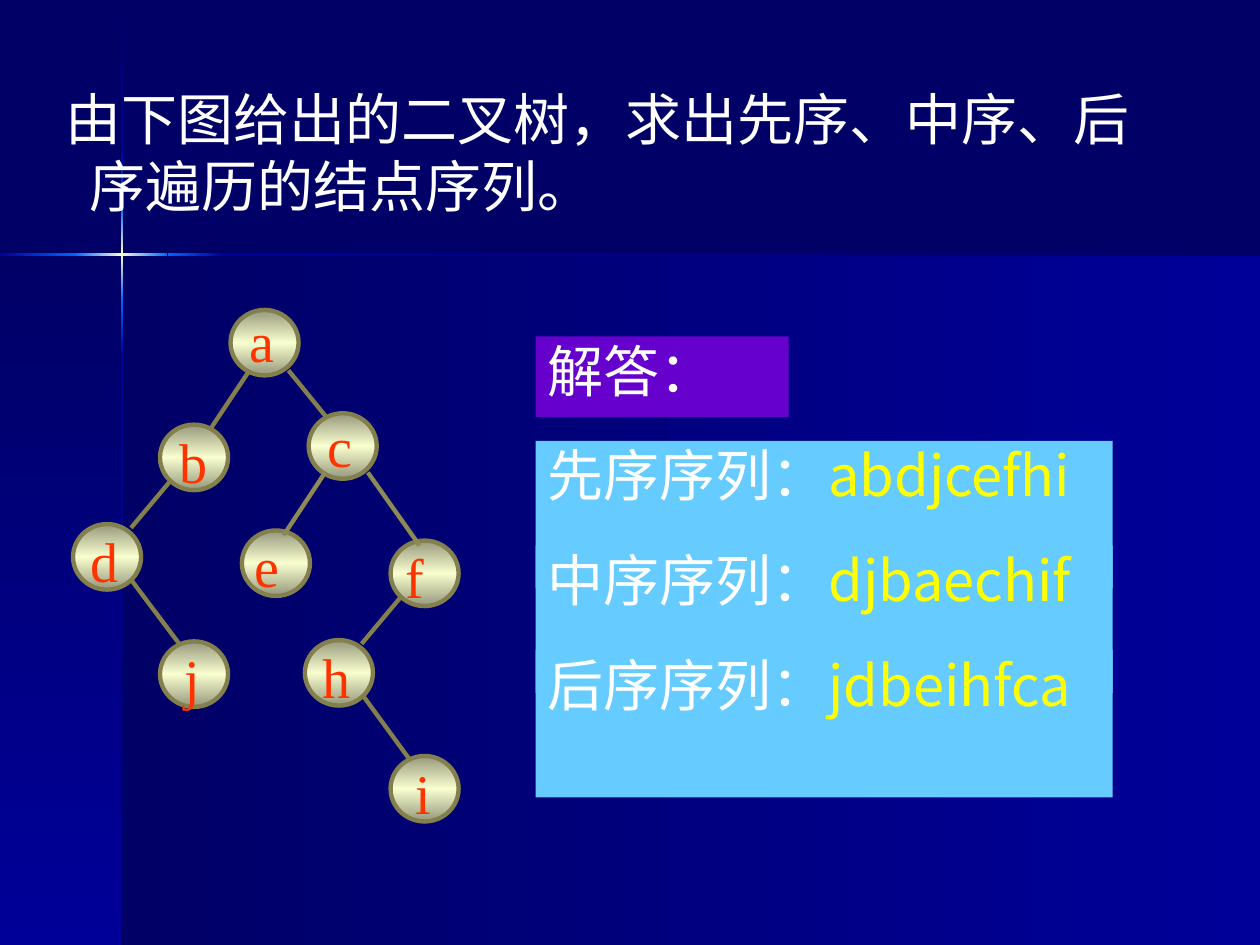
from lxml import etree
from pptx import Presentation
from pptx.dml.color import RGBColor
from pptx.enum.shapes import MSO_CONNECTOR, MSO_SHAPE
from pptx.enum.text import MSO_ANCHOR, MSO_AUTO_SIZE, PP_ALIGN
from pptx.oxml.ns import qn
from pptx.util import Inches, Pt

RECTANGLE, OVAL = MSO_SHAPE.RECTANGLE, MSO_SHAPE.OVAL
STRAIGHT = MSO_CONNECTOR.STRAIGHT
LEFT, TOP, NO_AUTOFIT = PP_ALIGN.LEFT, MSO_ANCHOR.TOP, MSO_AUTO_SIZE.NONE
SANS, SERIF = "Noto Sans CJK SC", "Times New Roman"
DARK, NAVY, BLUE, GLOW = "000066", "000099", "0066FF", "FFFFCC"
WHITE, YELLOW, RED = "FFFFFF", "FFFF00", "FF3300"
PURPLE, SKY, OLIVE, KHAKI = "6600CC", "66CCFF", "83804D", "8D8A53"
NODE_STOPS = ("95987C", "F8FECE", "95987C")
ACROSS, DOWN = 0, 90

BACKDROP = [
    (0.97, 2.02, 9.03, 5.48, (DARK, NAVY), ACROSS),
    (0, 2.02, 0.97, 5.48, (DARK, NAVY), DOWN),
    (0.96, 0.01, 0.02, 1.2, (DARK, NAVY), DOWN),
    (0.96, 2.82, 0.02, 4.68, (NAVY, DARK), DOWN),
    (1.77, 2.01, 8.23, 0.02, (NAVY, DARK), ACROSS),
    (0.96, 2.38, 0.02, 0.44, (BLUE, NAVY), DOWN),
    (0.96, 1.21, 0.02, 0.44, (NAVY, BLUE), DOWN),
    (0.96, 1.65, 0.02, 0.73, (BLUE, GLOW, BLUE), DOWN),
    (0, 2.01, 0.61, 0.02, (NAVY, BLUE), ACROSS),
    (1.33, 2.01, 0.44, 0.02, (BLUE, NAVY), ACROSS),
    (0.6, 2.01, 0.73, 0.02, (BLUE, GLOW, BLUE), ACROSS),
]
QUESTION = ["由下图给出的二叉树，求出先序、中序、后", "序遍历的结点序列。"]
ANSWERS = [("先序序列：", "abdjcefhi"), ("中序序列：", "djbaechif"), ("后序序列：", "jdbeihfca")]
NODES = {
    "a": ((1.83, 2.46), (1.88, 2.33)),
    "b": ((1.27, 3.37), (1.33, 3.29)),
    "c": ((2.45, 3.28), (2.5, 3.17)),
    "d": ((0.58, 4.16), (0.62, 4.08)),
    "e": ((1.92, 4.21), (1.92, 4.12)),
    "f": ((3.1, 4.29), (3.12, 4.21)),
    "j": ((1.27, 5.09), (1.37, 5.01)),
    "h": ((2.42, 5.08), (2.46, 5)),
    "i": ((3.1, 6), (3.2, 5.92)),
}
EDGES = [
    (1.98, 2.94, 1.68, 3.39, OLIVE),
    (2.29, 2.94, 2.59, 3.31, OLIVE),
    (1.35, 3.82, 1.04, 4.19, OLIVE),
    (1.04, 4.6, 1.43, 5.12, OLIVE),
    (3.18, 4.74, 2.87, 5.11, OLIVE),
    (2.88, 5.52, 3.26, 6.04, OLIVE),
    (2.58, 3.75, 2.25, 4.25, KHAKI),
    (2.92, 3.75, 3.33, 4.33, KHAKI),
]


def color(value):
    return RGBColor.from_string(value)


class TreeSlide:
    """Holds the slide and draws its elements in one style."""

    def __init__(self, slide):
        self.slide = slide
        self.shapes = slide.shapes
        background = slide.background.fill
        background.solid()
        background.fore_color.rgb = color(DARK)

    def shape(self, kind, left, top, width, height):
        shape = self.shapes.add_shape(kind, Inches(left), Inches(top), Inches(width), Inches(height))
        shape.shadow.inherit = False
        shape.line.fill.background()
        return shape

    def gradient(self, kind, left, top, width, height, stops, angle):
        shape = self.shape(kind, left, top, width, height)
        shape.fill.gradient()
        gradient = shape._element.spPr.find(qn("a:gradFill"))
        stop_list = gradient.find(qn("a:gsLst"))
        for stop in list(stop_list):
            stop_list.remove(stop)
        for index, value in enumerate(stops):
            position = str(index * 100000 // (len(stops) - 1))
            stop = etree.SubElement(stop_list, qn("a:gs"), pos=position)
            etree.SubElement(stop, qn("a:srgbClr"), val=value)
        gradient.find(qn("a:lin")).set("ang", str(angle * 60000))
        return shape

    def frame(self, shape, inset):
        frame = shape.text_frame
        frame.word_wrap = True
        frame.auto_size = NO_AUTOFIT
        frame.vertical_anchor = TOP
        frame.margin_left = frame.margin_right = Inches(0.1)
        frame.margin_top, frame.margin_bottom = Inches(inset), Inches(0)
        return frame

    def add_words(self, paragraph, parts, font=SANS):
        paragraph.alignment = LEFT
        paragraph.font.size = Pt(32)
        paragraph.font.name = font
        paragraph.font.color.rgb = color(parts[0][1])
        defaults = paragraph._p.pPr.find(qn("a:defRPr"))
        etree.SubElement(defaults, qn("a:ea"), typeface=SANS)
        for text, value in parts:
            run = paragraph.add_run()
            run.text = text
            if len(parts) > 1:
                run.font.color.rgb = color(value)

    def title(self, lines):
        title = self.shapes.title
        title.left, title.top = Inches(0.42), Inches(0.67)
        title.width, title.height = Inches(9.58), Inches(1.28)
        self.shapes._spTree.append(title._element)
        frame = self.frame(title, 0)
        first, second = frame.paragraphs[0], frame.add_paragraph()
        second._p.get_or_add_pPr().set("marL", str(Inches(0.19)))
        for paragraph, line in zip((first, second), lines):
            self.add_words(paragraph, [(line, WHITE)])

    def panel(self, top, width, height, fill, parts, font=SANS):
        panel = self.shape(RECTANGLE, 4.25, top, width, height)
        panel.fill.solid()
        panel.fill.fore_color.rgb = color(fill)
        self.add_words(self.frame(panel, 0).paragraphs[0], parts, font)

    def node(self, left, top):
        node = self.gradient(OVAL, left, top, 0.54, 0.52, NODE_STOPS, DOWN)
        node.line.color.rgb = color(OLIVE)
        node.line.width = Pt(2.5)

    def label(self, letter, left, top):
        label = self.shapes.add_textbox(Inches(left), Inches(top), Inches(0.5), Inches(0.64))
        self.add_words(self.frame(label, 0.1).paragraphs[0], [(letter, RED)], SERIF)

    def edge(self, x1, y1, x2, y2, value):
        edge = self.shapes.add_connector(STRAIGHT, Inches(x1), Inches(y1), Inches(x2), Inches(y2))
        edge.line.color.rgb = color(value)
        edge.line.width = Pt(2.5)
        etree.SubElement(edge._element.spPr, qn("a:effectLst"))


def main():
    deck = Presentation()
    deck.slide_width, deck.slide_height = Inches(10), Inches(7.5)
    tree = TreeSlide(deck.slides.add_slide(deck.slide_layouts[5]))
    for band in BACKDROP:
        tree.gradient(RECTANGLE, *band)
    tree.title(QUESTION)
    for corner, _ in NODES.values():
        tree.node(*corner)
    for edge in EDGES:
        tree.edge(*edge)
    for letter, (_, corner) in NODES.items():
        tree.label(letter, *corner)
    for index, (order, sequence) in enumerate(ANSWERS):
        parts = [(order, WHITE), (sequence, YELLOW)]
        tree.panel(3.5 + index * 0.83, 4.58, 1.17, SKY, parts)
    tree.panel(2.67, 2.01, 0.64, PURPLE, [("解答：", WHITE)], SERIF)
    deck.save("out.pptx")


if __name__ == "__main__":
    main()
